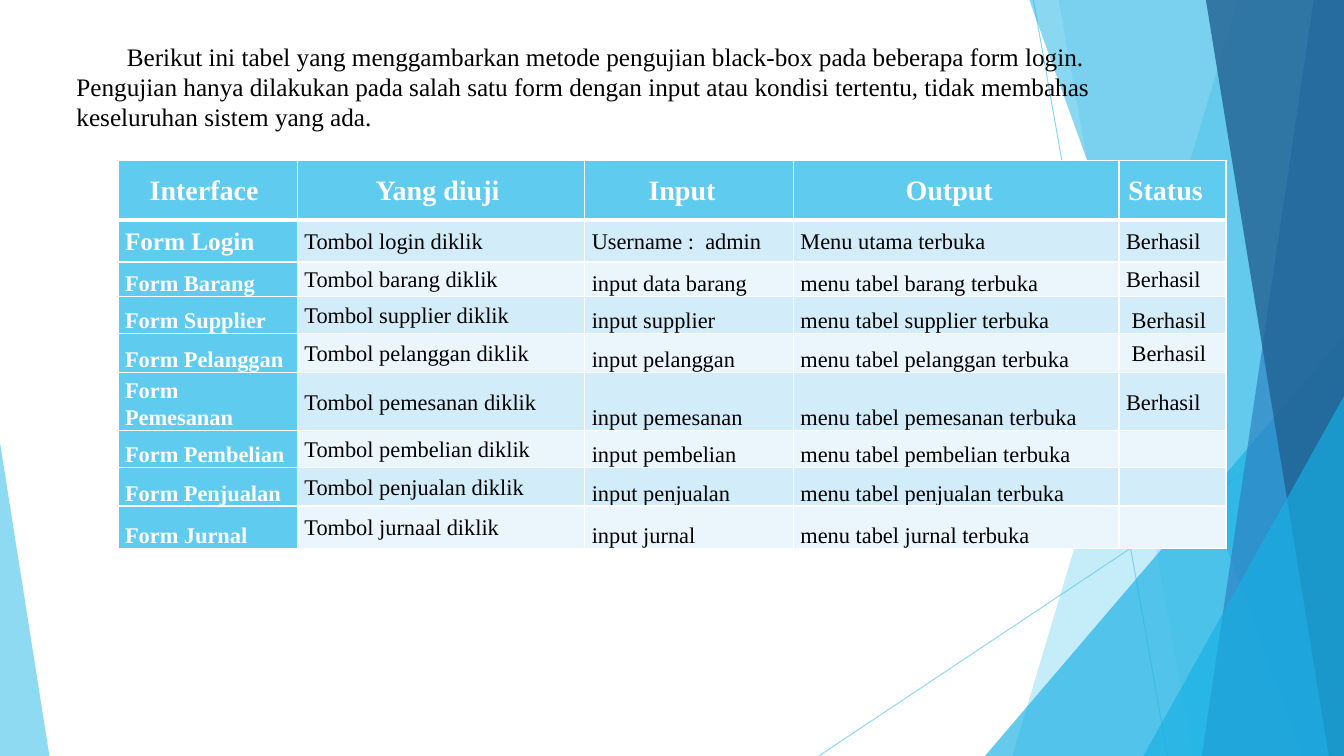
from dataclasses import dataclass

from lxml import etree
from pptx import Presentation
from pptx.dml.color import RGBColor
from pptx.enum import shapes, text
from pptx.oxml import ns
from pptx.util import Inches, Pt

WIDE, HIGH = Inches(13.33), Inches(7.5)


@dataclass(frozen=True)
class Theme:
    font: str = "Times New Roman"
    ink: str = "000000"
    white: str = "FFFFFF"
    sky: str = "5FCBEF"
    cyan: str = "17B0E4"
    blue: str = "2E83C3"
    navy: str = "226292"
    bands: tuple = ("D2ECF9", "EAF6FC")
    head: int = 20
    lead: int = 18
    body: int = 16


LOOK = Theme()
COLS = (13.35, 21.38, 15.53, 24.23, 7.95)
ROWS = (7.87, 5.6, 4.53, 4.93, 5.2, 5.07, 4.93, 5.07, 5.6)
INTRO = (
    "Berikut ini tabel yang menggambarkan metode pengujian black-box pada "
    "beberapa form login. Pengujian hanya dilakukan pada salah satu form dengan "
    "input atau kondisi tertentu, tidak membahas keseluruhan sistem yang ada."
)
HEADS = ("Interface", "Yang diuji", "Input", "Output", "Status")
TESTS = (
    ("Form Login", "Tombol login diklik", "Username :  admin", "Menu utama terbuka", "Berhasil"),
    ("Form Barang", "Tombol barang diklik", "input data barang", "menu tabel barang terbuka", "Berhasil"),
    ("Form Supplier", "Tombol supplier diklik", "input supplier", "menu tabel supplier terbuka", " Berhasil"),
    ("Form Pelanggan", "Tombol pelanggan diklik", "input pelanggan", "menu tabel pelanggan terbuka", " Berhasil"),
    ("Form Pemesanan", "Tombol pemesanan diklik", "input pemesanan", "menu tabel pemesanan terbuka", "Berhasil"),
    ("Form Pembelian", "Tombol pembelian diklik", "input pembelian", "menu tabel pembelian terbuka", ""),
    ("Form Penjualan", "Tombol penjualan diklik", "input penjualan", "menu tabel penjualan terbuka", ""),
    ("Form Jurnal", "Tombol jurnaal diklik", "input jurnal", "menu tabel jurnal terbuka", ""),
)


def across(share):
    return round(WIDE * share / 100)


def down(share):
    return round(HIGH * share / 100)


def tag(root, name, **attrs):
    return etree.SubElement(root, ns.qn(name), attrs)


def fade(shape, alpha):
    for tint in shape.element.spPr.iter(ns.qn("a:srgbClr")):
        tag(tint, "a:alpha", val=str(alpha * 1000))


def paint(shape, color, alpha):
    shape.shadow.inherit = False
    shape.fill.solid()
    shape.fill.fore_color.rgb = RGBColor.from_string(color)
    shape.line.fill.background()
    fade(shape, alpha)


def ray(page, x1, y1, x2, y2):
    line = page.shapes.add_connector(
        shapes.MSO_CONNECTOR.STRAIGHT, across(x1), down(y1), across(x2), down(y2))
    line.line.color.rgb = RGBColor.from_string(LOOK.sky)
    line.line.width = Pt(0.75)
    fade(line, 70)
    tag(line.element.spPr, "a:effectLst")


def shard(page, top, base, color, alpha):
    pen = page.shapes.build_freeform(across(top), 0)
    pen.add_line_segments(
        [(WIDE, 0), (WIDE, HIGH), (across(base), HIGH)], close=True)
    paint(pen.convert_to_shape(), color, alpha)


def wedge(page, left, top, width, apex, color, alpha):
    shape = page.shapes.add_shape(
        shapes.MSO_SHAPE.ISOSCELES_TRIANGLE,
        across(left), down(top), across(width), down(100 - top))
    shape.adjustments[0] = apex
    paint(shape, color, alpha)


def style(para, size, color, bold=False):
    for font in [para.font] + [run.font for run in para.runs]:
        font.name = LOOK.font
        font.size = Pt(size)
        font.bold = bold
        font.color.rgb = RGBColor.from_string(color)


def intro(page):
    box = page.shapes.add_textbox(across(4.95), down(4.8), across(81.85), down(13.47))
    box.text_frame.word_wrap = True
    box.text_frame.text = INTRO
    para = box.text_frame.paragraphs[0]
    para._p.get_or_add_pPr().set("indent", str(Inches(0.5)))
    style(para, LOOK.lead, LOOK.ink)


def edge(cell, top, base):
    props = cell._tc.get_or_add_tcPr()
    sides = (("L", 1), ("R", 1), ("T", top), ("B", base))
    for spot, (side, width) in enumerate(sides):
        line = etree.Element(ns.qn("a:ln" + side), w=str(Pt(width)))
        tag(tag(line, "a:solidFill"), "a:srgbClr", val=LOOK.white)
        props.insert(spot, line)


def fill(cell, words, row, col):
    head, side = row == 0, col == 0
    cell.text_frame.text = words
    cell.margin_left = cell.margin_right = Inches(0.07)
    cell.margin_top = cell.margin_bottom = 0
    low = row > 1 and (col in (0, 2, 3) or (row, col) == (3, 4))
    cell.vertical_anchor = text.MSO_ANCHOR.BOTTOM if low else text.MSO_ANCHOR.MIDDLE
    para = cell.text_frame.paragraphs[0]
    para.line_spacing = 1.07
    if head:
        para.alignment = text.PP_ALIGN.CENTER
        cell.margin_right = Inches(0.14 if col < 2 else 0.21)
    size = LOOK.head if head else LOOK.lead if side and row == 1 else LOOK.body
    strong = head or side
    style(para, size, LOOK.white if strong else LOOK.ink, strong)
    cell.fill.solid()
    color = LOOK.sky if strong else LOOK.bands[(row - 1) % 2]
    cell.fill.fore_color.rgb = RGBColor.from_string(color)
    edge(cell, 3 if row == 1 else 1, 3 if head else 1)


def grid(page):
    table = page.shapes.add_table(
        len(ROWS), len(COLS), across(8.78), down(21.2),
        across(sum(COLS)), down(sum(ROWS))).table
    for col, share in zip(table.columns, COLS):
        col.width = across(share)
    for row, share in zip(table.rows, ROWS):
        row.height = down(share)
    for row, line in enumerate((HEADS,) + TESTS):
        for col, words in enumerate(line):
            fill(table.cell(row, col), words, row, col)


def decor(page):
    ray(page, 76.89, 0, 86.87, 100)
    ray(page, 100, 53.73, 60.92, 100)
    shard(page, 92.12, 75.32, LOOK.sky, 36)
    shard(page, 78.77, 88.75, LOOK.sky, 20)
    wedge(page, 73.29, 44.4, 26.71, 1, LOOK.cyan, 66)
    shard(page, 76.59, 96.85, LOOK.cyan, 50)
    shard(page, 97.75, 89.42, LOOK.blue, 70)
    shard(page, 89.72, 98.87, LOOK.navy, 80)
    wedge(page, 85.07, 52.4, 14.93, 1, LOOK.cyan, 66)
    wedge(page, 0, 58.53, 3.68, 0, LOOK.sky, 70)


def main():
    deck = Presentation()
    deck.slide_width, deck.slide_height = WIDE, HIGH
    page = deck.slides.add_slide(deck.slide_layouts[6])
    decor(page)
    intro(page)
    grid(page)
    deck.save("out.pptx")


if __name__ == "__main__":
    main()
